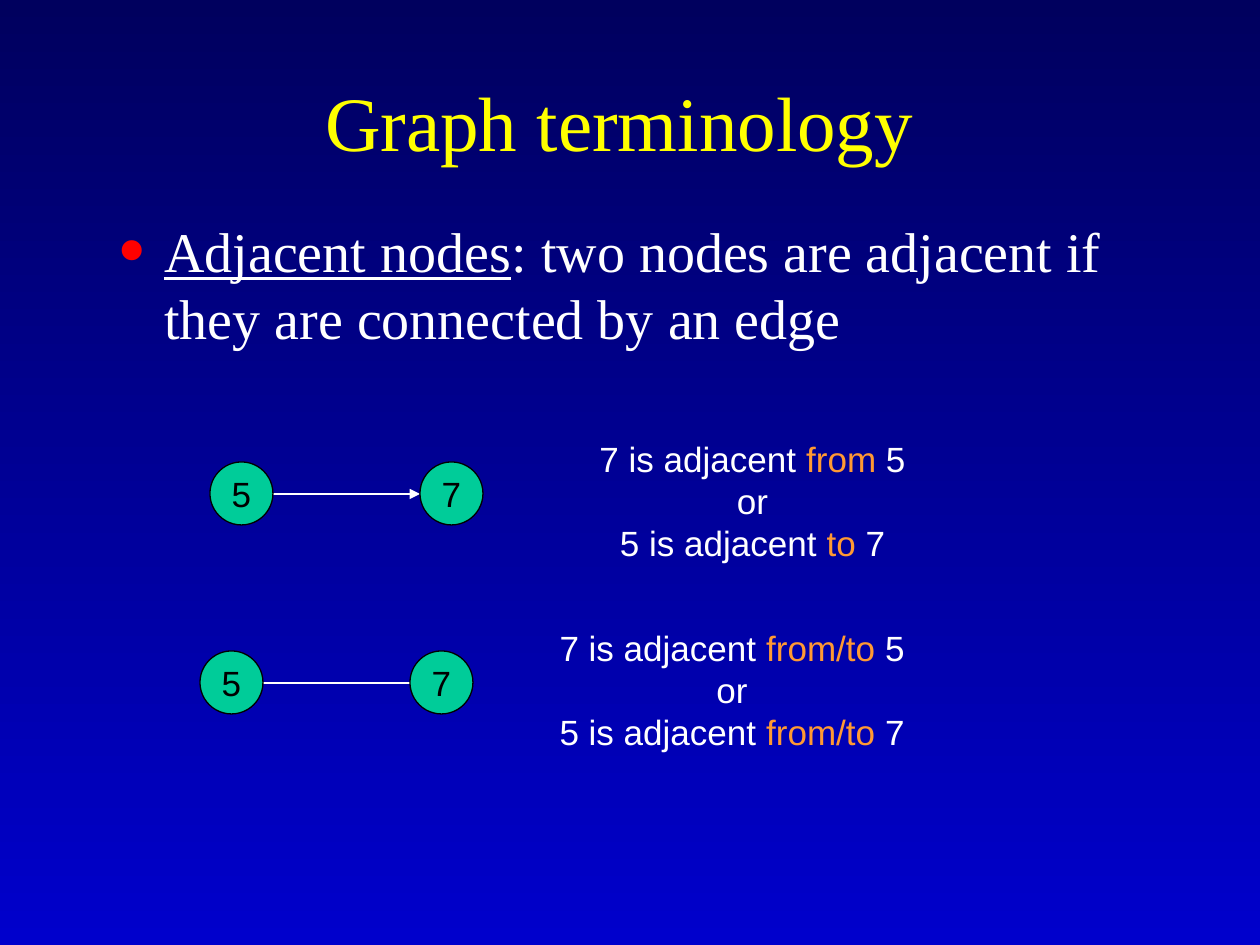
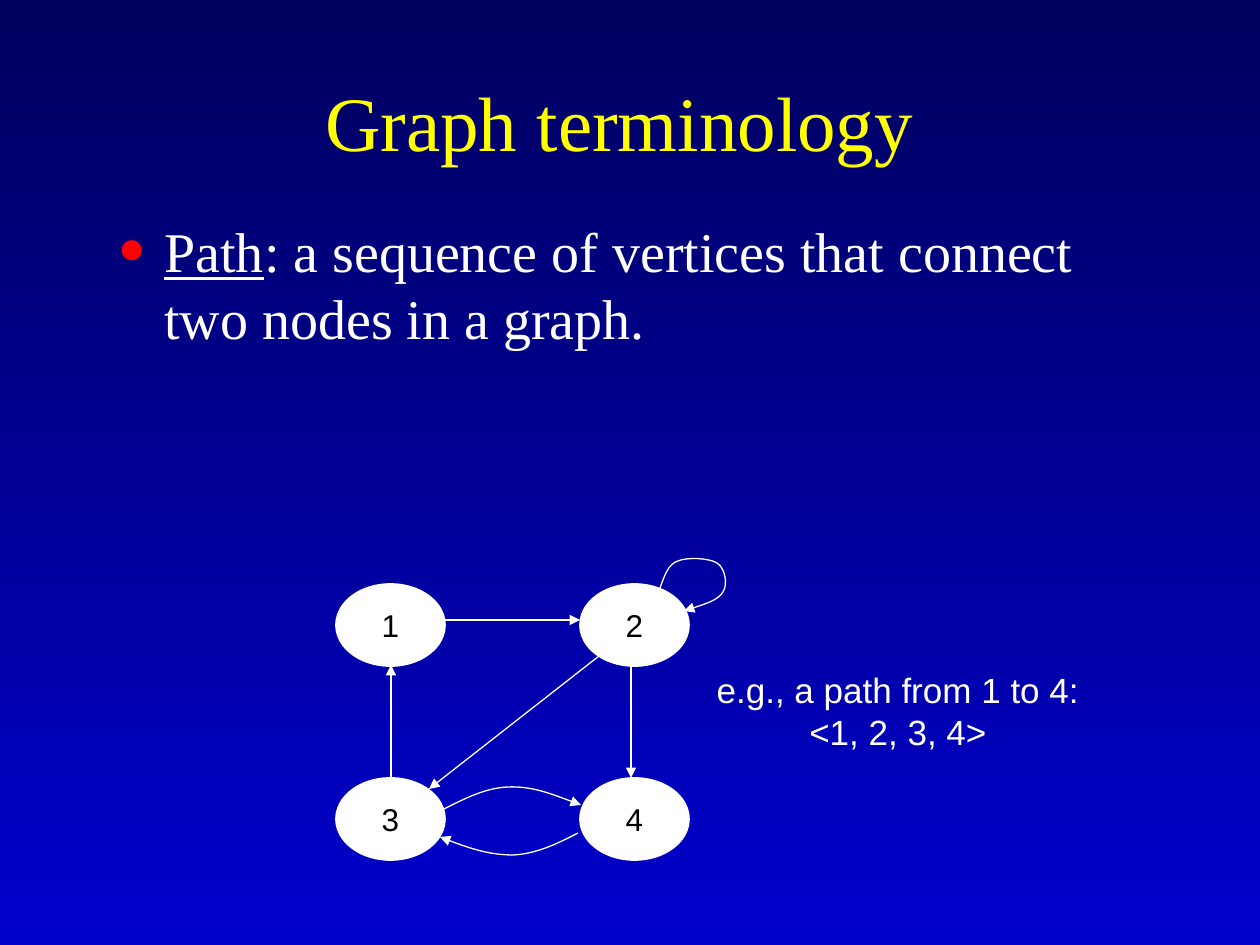
from dataclasses import dataclass

from lxml import etree
from pptx import Presentation, util as u
from pptx.dml.color import RGBColor
from pptx.enum import shapes, text
from pptx.oxml.ns import qn


@dataclass(frozen=True)
class Theme:
    top: str = "00005E"
    bottom: str = "0000CC"
    title: str = "FFFF00"
    body: str = "FFFFFF"
    bullet: str = "FF0000"
    accent: str = "FF9933"
    node: str = "00CC99"
    ink: str = "000000"
    serif: str = "Times New Roman"
    sans: str = "Arial"
    title_size: int = 44
    body_size: int = 32
    note_size: int = 20
    vertex_size: int = 18


theme = Theme()
PX = u.Inches(1) / 126


def write(shape, lines, size, font, color, wrap=False, align=text.PP_ALIGN.CENTER):
    """Fill a shape with lines of (words, run colour) pairs; None keeps the colour."""
    frame = shape.text_frame
    frame.word_wrap = wrap
    for index, line in enumerate(lines):
        paragraph = frame.add_paragraph() if index else frame.paragraphs[0]
        paragraph.alignment = align
        for words, accent in line:
            run = paragraph.add_run()
            run.text = words
            run.font.size = u.Pt(size)
            run.font.name = font
            run.font.color.rgb = RGBColor.from_string(accent or color)
    return frame


def style_edge(edge, arrow=True):
    """Draw an edge as a thin light line without shadow, with or without a head."""
    edge.line.color.rgb = RGBColor.from_string(theme.body)
    edge.line.width = u.Pt(0.75)
    properties = edge.element.spPr
    if arrow:
        etree.SubElement(properties.find(qn("a:ln")), qn("a:tailEnd"), type="triangle")
    if properties.find(qn("a:effectLst")) is None:
        etree.SubElement(properties, qn("a:effectLst"))


presentation = Presentation()
presentation.slide_width, presentation.slide_height = u.Inches(10), u.Inches(7.5)

# Shared background, dark at the top
background = presentation.slide_master.background.fill
background.gradient()
background.gradient_angle = 270
for stop, color in zip(background.gradient_stops, (theme.top, theme.bottom)):
    stop.color.rgb = RGBColor.from_string(color)

# Title and definition on both slides
definitions = [
    ("Adjacent nodes", ": two nodes are adjacent if they are connected by an edge"),
    ("Path", ": a sequence of vertices that connect two nodes in a graph."),
]
slides = []
for term, meaning in definitions:
    slide = presentation.slides.add_slide(presentation.slide_layouts[6])
    slides.append(slide)
    title = slide.shapes.add_textbox(*(round(v * PX) for v in (84, 94, 1071, 53)))
    frame = write(title, [[("Graph terminology", None)]],
                  theme.title_size, theme.serif, theme.title, wrap=True)
    frame.vertical_anchor = text.MSO_ANCHOR.MIDDLE

    body = slide.shapes.add_textbox(*(round(v * PX) for v in (105, 210, 1071, 536)))
    frame = write(body, [[(term, None), (meaning, None)]], theme.body_size,
                  theme.serif, theme.body, wrap=True, align=text.PP_ALIGN.LEFT)
    paragraph = frame.paragraphs[0]
    paragraph.runs[0].font.underline = True
    bullet = paragraph._p.get_or_add_pPr()
    bullet.set("marL", str(round(47 * PX)))
    bullet.set("indent", str(round(-47 * PX)))
    bullet_color = etree.SubElement(bullet, qn("a:buClr"))
    etree.SubElement(bullet_color, qn("a:srgbClr"), val=theme.bullet)
    etree.SubElement(bullet, qn("a:buSzPct"), val="150000")
    etree.SubElement(bullet, qn("a:buFont"), typeface=theme.serif)
    etree.SubElement(bullet, qn("a:buChar"), char="•")

adjacency_slide, path_slide = slides

# Straight edges: slide, start, end, arrowhead
edges = [
    (adjacency_slide, (273, 494), (420, 494), True),
    (adjacency_slide, (263, 683), (410, 683), False),
    (path_slide, (444, 620), (580, 620), True),
    (path_slide, (631, 666), (631, 778), True),
    (path_slide, (391, 777), (391, 665), True),
    (path_slide, (599, 656), (429, 789), True),
]
for slide, start, end, arrow in edges:
    edge = slide.shapes.add_connector(
        shapes.MSO_CONNECTOR.STRAIGHT, *(round(v * PX) for v in start + end))
    style_edge(edge, arrow)

# Nodes: slide, label, box, fill, outline, outline width, label size
nodes = []
for left, top in ((210, 462), (200, 651)):
    for column, label in enumerate("57"):
        nodes.append((adjacency_slide, label, (left + 210 * column, top, 63, 63),
                      theme.node, theme.ink, 0.75, theme.note_size))
for index, label in enumerate("1234"):
    row, column = divmod(index, 2)
    nodes.append((path_slide, label, (336 + 244 * column, 584 + 194 * row, 109, 82),
                  theme.body, theme.body, 1, theme.vertex_size))
for slide, label, box, fill, outline, width, size in nodes:
    node = slide.shapes.add_shape(
        shapes.MSO_SHAPE.OVAL, *(round(v * PX) for v in box))
    node.shadow.inherit = False
    node.fill.solid()
    node.fill.fore_color.rgb = RGBColor.from_string(fill)
    node.line.color.rgb = RGBColor.from_string(outline)
    node.line.width = u.Pt(width)
    frame = write(node, [[(label, None)]], size, theme.sans, theme.ink)
    frame.vertical_anchor = text.MSO_ANCHOR.MIDDLE

# Curved edges: a start point, then three Bézier points for each segment
curves = [
    [(442, 810), (464, 799), (485, 788), (508, 787),
     (532, 786), (557, 796), (581, 805)],
    [(578, 833), (557, 844), (536, 854), (513, 855),
     (490, 855), (465, 847), (440, 837)],
    [(660, 588), (664, 577), (668, 564), (678, 561),
     (687, 557), (709, 558), (717, 563),
     (725, 568), (728, 584), (723, 592),
     (718, 600), (702, 605), (684, 611)],
]
for start, *controls in curves:
    builder = path_slide.shapes.build_freeform(*start, scale=PX)
    builder.add_line_segments(controls, close=False)
    curve = builder.convert_to_shape()
    curve.fill.background()
    style_edge(curve)
    segments = list(curve.element.iter(qn("a:lnTo")))
    for first in range(0, len(segments), 3):
        bezier = etree.Element(qn("a:cubicBezTo"))
        segments[first].addprevious(bezier)
        for segment in segments[first:first + 3]:
            bezier.append(segment[0])
            segment.getparent().remove(segment)

# Notes beside the graphs
notes = [
    (adjacency_slide, (587, 431, 331, 181),
     [[("7 is adjacent ", None), ("from", theme.accent), (" 5", None)],
      [("or", None)],
      [("5 is adjacent ", None), ("to", theme.accent), (" 7", None)]]),
    (adjacency_slide, (547, 620, 370, 181),
     [[("7 is adjacent ", None), ("from/to", theme.accent), (" 5", None)],
      [("or", None)],
      [("5 is adjacent ", None), ("from/to", theme.accent), (" 7", None)]]),
    (path_slide, (704, 662, 388, 97),
     [[("e.g., a path from 1 to 4:", None)],
      [("<1, 2, 3, 4>", None)]]),
]
for slide, box, lines in notes:
    note = slide.shapes.add_textbox(*(round(v * PX) for v in box))
    write(note, lines, theme.note_size, theme.sans, theme.body)

presentation.save("out.pptx")
